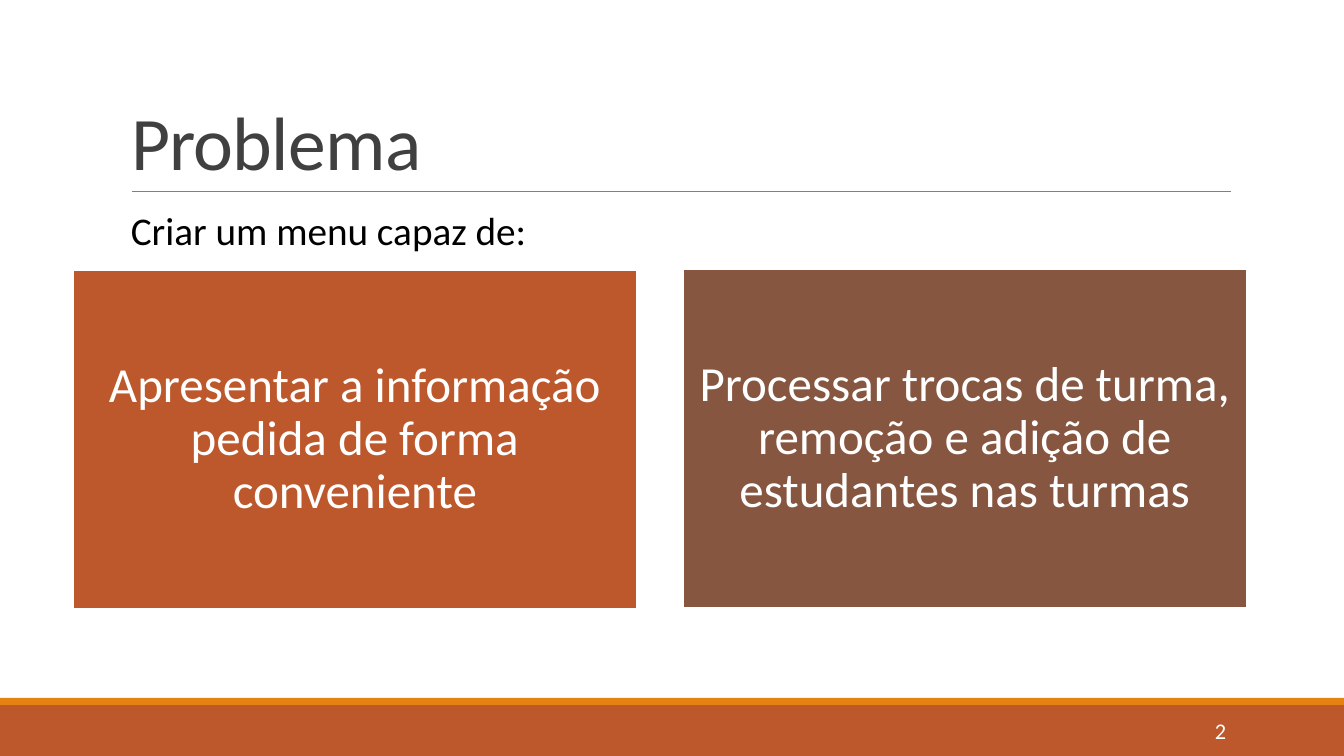
from pptx import Presentation
from pptx.dml.color import RGBColor
from pptx.enum.shapes import MSO_CONNECTOR, MSO_SHAPE
from pptx.enum.text import MSO_ANCHOR, MSO_AUTO_SIZE, PP_ALIGN
from pptx.oxml.ns import qn
from pptx.util import Emu, Pt
from lxml.etree import SubElement

EMU_PER_PX = 914400 / 100.8
SLIDE_WIDTH, SLIDE_HEIGHT = 1344, 756
COLORS = {
    "rust": "BD582C",
    "orange": "E48312",
    "brown": "865640",
    "gray": "808080",
    "title": "404040",
    "black": "000000",
    "white": "FFFFFF",
}
GOALS = [
    ("Apresentar a informação pedida de forma conveniente", "rust", 1),
    ("Processar trocas de turma, remoção e adição de estudantes nas turmas", "brown", 0),
]


def px(length):
    return Emu(round(length * EMU_PER_PX))


def color(name):
    return RGBColor.from_string(COLORS[name])


def write(shape, text, size, color_name, align=PP_ALIGN.LEFT, anchor=MSO_ANCHOR.TOP, spacing=1.0):
    frame = shape.text_frame
    frame.word_wrap = True
    frame.vertical_anchor = anchor
    frame.text = text
    paragraph = frame.paragraphs[0]
    paragraph.alignment = align
    paragraph.line_spacing = spacing
    font = paragraph.runs[0].font
    font.name = "Calibri"
    font.size = Pt(size)
    font.color.rgb = color(color_name)


def add_rectangle(slide, left, top, width, height, fill):
    shape = slide.shapes.add_shape(MSO_SHAPE.RECTANGLE, px(left), px(top), px(width), px(height))
    shape.shadow.inherit = False
    shape.fill.solid()
    shape.fill.fore_color.rgb = color(fill)
    shape.line.fill.background()
    return shape


def add_text(slide, left, top, width, height, text, size, color_name, **layout):
    box = slide.shapes.add_textbox(px(left), px(top), px(width), px(height))
    write(box, text, size, color_name, **layout)
    return box


def add_footer(slide, left, top, width, height):
    stripe = 7
    add_rectangle(slide, left, top + stripe, width, height - stripe, "rust")
    add_rectangle(slide, left, top, width, stripe, "orange")
    add_text(slide, left + width - 252, top + 13, 144, 40, "2", 16, "white",
             align=PP_ALIGN.RIGHT, anchor=MSO_ANCHOR.MIDDLE)


def add_heading(slide, left, top, width, height):
    title = slide.shapes.title
    title.left, title.top, title.width, title.height = map(px, (left, top, width, height))
    write(title, "Problema", 54, "title", anchor=MSO_ANCHOR.BOTTOM, spacing=0.85)
    title.text_frame.auto_size = MSO_AUTO_SIZE.NONE
    title.text_frame.paragraphs[0].runs[0].font._element.set("spc", "-50")
    bottom = top + height
    rule = slide.shapes.add_connector(
        MSO_CONNECTOR.STRAIGHT, px(left + 11), px(bottom), px(left + width + 1), px(bottom))
    rule.line.color.rgb = color("gray")
    rule.line.width = Pt(0.5)
    SubElement(rule._element.spPr, qn("a:effectLst"))


def add_goals(slide, left, top, width, height):
    gap = 46
    card_width = (width - gap) / len(GOALS)
    for index, (text, fill, offset) in enumerate(GOALS):
        card = add_rectangle(
            slide, left + index * (card_width + gap), top + offset, card_width, height, fill)
        card.line.color.rgb = color("white")
        card.line.width = Pt(1.25)
        frame = card.text_frame
        frame.margin_left = frame.margin_right = frame.margin_top = frame.margin_bottom = px(15)
        write(card, text, 35, "white", align=PP_ALIGN.CENTER,
              anchor=MSO_ANCHOR.MIDDLE, spacing=0.9)


def build_problem_slide(presentation):
    slide = presentation.slides.add_slide(presentation.slide_layouts[5])
    add_footer(slide, 0, 698, SLIDE_WIDTH, SLIDE_HEIGHT - 698)
    add_heading(slide, 121, 31, 1109, 160)
    add_goals(slide, 73, 269, 1174, 339)
    add_text(slide, 121, 201, 1030, 57, "Criar um menu capaz de:", 28, "black")


def main():
    presentation = Presentation()
    presentation.slide_width = px(SLIDE_WIDTH)
    presentation.slide_height = px(SLIDE_HEIGHT)
    build_problem_slide(presentation)
    presentation.save("out.pptx")


if __name__ == "__main__":
    main()
